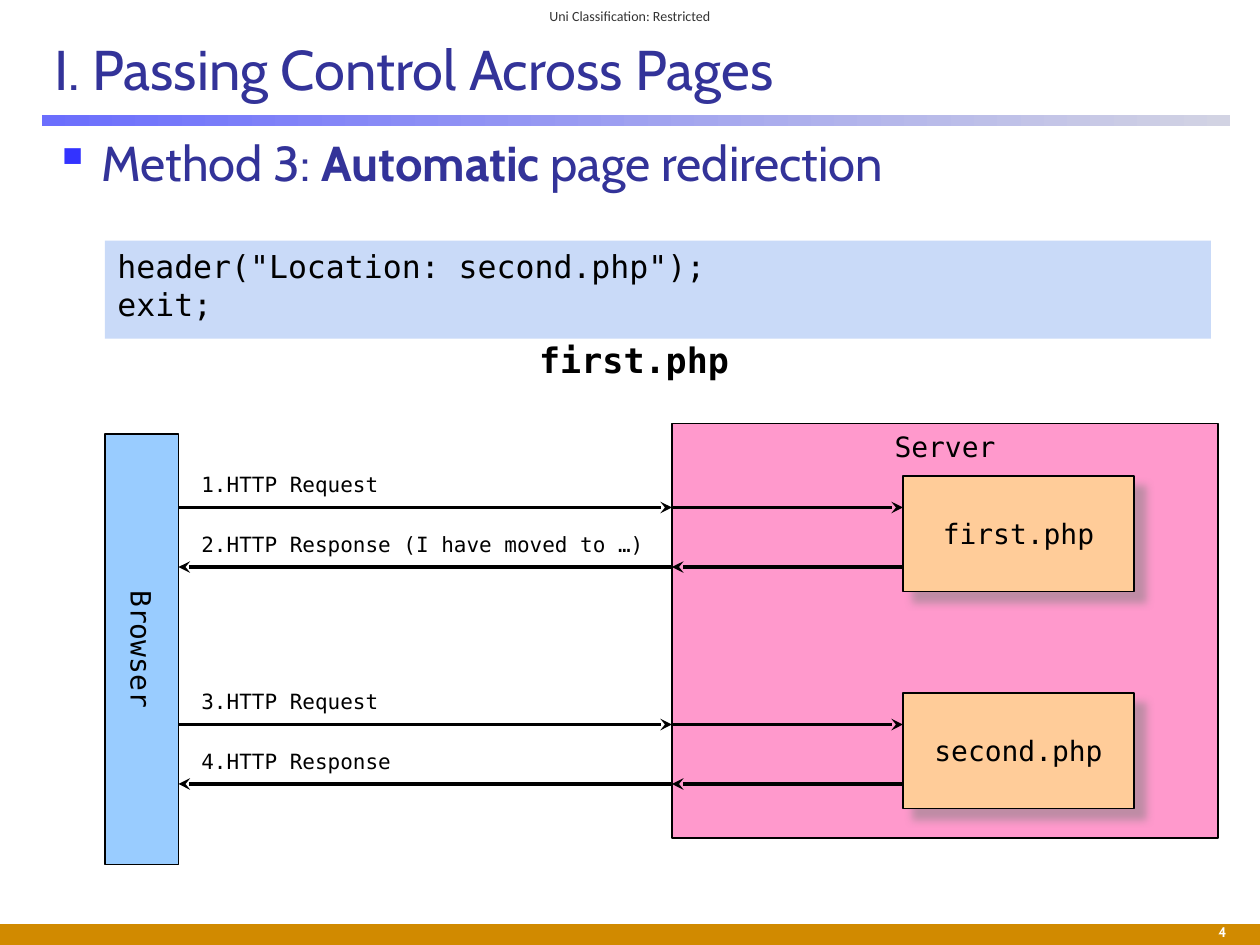
"""Build the slide on automatic page redirection."""
from lxml.etree import SubElement
from pptx import Presentation
from pptx.dml.color import RGBColor
from pptx.enum.shapes import MSO_CONNECTOR, MSO_SHAPE
from pptx.enum.text import MSO_ANCHOR, PP_ALIGN
from pptx.oxml.ns import qn
from pptx.util import Pt

MONO, SANS = "DejaVu Sans Mono", "Cabin"
BLACK, NAVY = "000000", "333399"
TITLE = "I. Passing Control Across Pages"
POINT = [("Method 3:", False), (" Automatic", True), (" page redirection", False)]
CODE = 'header("Location: second.php");\nexit;'
PAGES = [("first.php", 272), ("second.php", 396)]
STEPS = [
    ("1.HTTP Request", 290, True),
    ("2.HTTP Response (I have moved to …)", 324, False),
    ("3.HTTP Request", 414, True),
    ("4.HTTP Response", 448, False),
]
LEFT, WALL, PAGE = 102, 384, 516

deck = Presentation()
deck.slide_width, deck.slide_height = Pt(720), Pt(540)
slide = deck.slides.add_slide(deck.slide_layouts[6])


def tint(code):
    return RGBColor.from_string(code)


def node(up, tag, **attrs):
    return SubElement(up, qn(tag), attrs)


def write(shape, text, size, font=MONO, color=BLACK, bold=False,
          align=PP_ALIGN.LEFT, anchor=MSO_ANCHOR.TOP, wrap=True):
    frame = shape.text_frame
    frame.text = text
    frame.word_wrap = wrap
    frame.vertical_anchor = anchor
    for para in frame.paragraphs:
        para.alignment = align
        for run in para.runs:
            style(run, size, font, color, bold)


def style(run, size, font, color, bold):
    run.font.size, run.font.name, run.font.bold = Pt(size), font, bold
    run.font.color.rgb = tint(color)


def label(area, text, size, **look):
    box = slide.shapes.add_textbox(*map(Pt, area))
    write(box, text, size, **look)
    return box


def block(area, fill, edge=True):
    box = slide.shapes.add_shape(MSO_SHAPE.RECTANGLE, *map(Pt, area))
    box.shadow.inherit = False
    box.fill.solid()
    box.fill.fore_color.rgb = tint(fill)
    if edge:
        box.line.color.rgb = tint(BLACK)
        box.line.width = Pt(1)
    else:
        box.line.fill.background()
    return box


def shade(box):
    effect = box.element.spPr.find(qn("a:effectLst"))
    outer = node(effect, "a:outerShdw", blurRad=str(Pt(5)), dist=str(Pt(8.5)),
                 dir="2700000", algn="ctr", rotWithShape="0")
    color = node(outer, "a:srgbClr", val="808080")
    node(color, "a:alpha", val="50000")


def arrow(start, end, y):
    line = slide.shapes.add_connector(
        MSO_CONNECTOR.STRAIGHT, Pt(start), Pt(y), Pt(end), Pt(y))
    line.line.color.rgb = tint(BLACK)
    line.line.width = Pt(2.25)
    node(line.line._get_or_add_ln(), "a:tailEnd", type="stealth")
    node(line.element.spPr, "a:effectLst")


def bullet(para):
    props = para._p.get_or_add_pPr()
    props.set("marL", str(Pt(27)))
    props.set("indent", str(-Pt(27)))
    color = node(props, "a:buClr")
    node(color, "a:srgbClr", val="3333FF")
    node(props, "a:buChar", char="▪")


def frame():
    block((0, 528, 720, 12), "D18A00", edge=False)
    rule = block((24, 65.5, 679, 6.5), NAVY, edge=False)
    rule.fill.gradient()
    rule.fill.gradient_angle = 0
    for stop, code in zip(rule.fill.gradient_stops, ("6B6EFD", "D2D3E3")):
        stop.color.rgb = tint(code)
    label((301, 0, 118, 18), "Uni Classification: Restricted", 8, font="Calibri",
          color="333333", align=PP_ALIGN.CENTER, anchor=MSO_ANCHOR.MIDDLE, wrap=False)
    label((606, 524, 102, 14), "4", 8, font=SANS, color="FFFFFF", bold=True,
          align=PP_ALIGN.RIGHT)
    label((24, 12, 678, 54), TITLE, 32, font=SANS, color=NAVY,
          anchor=MSO_ANCHOR.MIDDLE)
    para = label((24, 72, 678, 44), "", 28).text_frame.paragraphs[0]
    bullet(para)
    for text, bold in POINT:
        run = para.add_run()
        run.text = text
        style(run, 28, SANS, NAVY, bold)


def flow():
    mid = {"align": PP_ALIGN.CENTER, "anchor": MSO_ANCHOR.MIDDLE}
    write(block((WALL, 242, 312, 237), "FF99CC"), "Server", 16,
          align=PP_ALIGN.CENTER)
    for name, top in PAGES:
        box = block((PAGE, top, 132, 66), "FFCC99")
        shade(box)
        write(box, name, 16, **mid)
    client = block((-42, 350, 246, 42), "99CCFF")
    client.rotation = 90
    write(client, "Browser", 16, **mid)
    for text, y, ahead in STEPS:
        label((108, y - 24, 270, 22), text, 12)
        for start, end in ((LEFT, WALL), (WALL, PAGE)):
            arrow(*((start, end) if ahead else (end, start)), y)


frame()
flow()
write(block((60, 137.5, 632, 56), "C9DAF8", edge=False), CODE, 18)
label((301, 190, 124, 32), "first.php", 20, bold=True, wrap=False)
deck.save("out.pptx")
